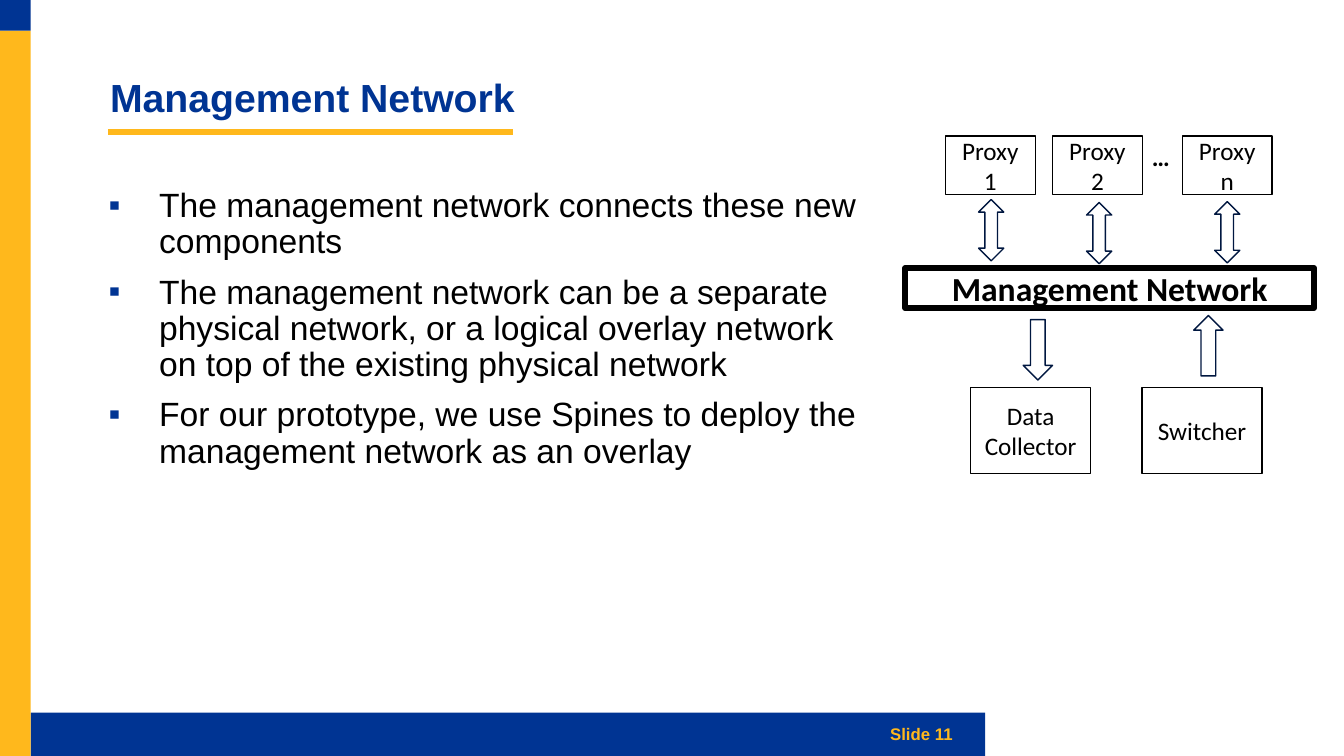
from dataclasses import dataclass

from lxml.etree import SubElement
from pptx import Presentation
from pptx.dml.color import RGBColor
from pptx.enum.shapes import MSO_CONNECTOR, MSO_SHAPE
from pptx.enum.text import MSO_ANCHOR, PP_ALIGN
from pptx.oxml.ns import qn
from pptx.shapes.autoshape import Shape
from pptx.slide import Slide
from pptx.util import Emu, Inches, Pt

COLUMNS, ROWS = 32, 18
SLIDE_WIDTH, SLIDE_HEIGHT = Inches(13.33), Inches(7.5)


@dataclass(frozen=True)
class Theme:
    blue: str = "003493"
    gold: str = "FFB81C"
    black: str = "000000"
    white: str = "FFFFFF"
    navy: str = "001740"
    text_font: str = "Arial"
    diagram_font: str = "Calibri"
    title_size: int = 28
    body_size: int = 24
    network_size: int = 24
    label_size: int = 18
    footer_size: int = 12
    thin: int = 1
    thick: int = 4


THEME = Theme()


@dataclass(frozen=True)
class Area:
    column: float
    row: float
    columns: float
    rows: float

    def lengths(self) -> tuple[Emu, Emu, Emu, Emu]:
        return across(self.column), down(self.row), across(self.columns), down(self.rows)


@dataclass(frozen=True)
class TextStyle:
    font: str
    size: int
    color: str
    bold: bool = False
    align: PP_ALIGN = PP_ALIGN.LEFT


@dataclass(frozen=True)
class Node:
    label: str
    area: Area
    style: TextStyle
    border: int = THEME.thin


@dataclass(frozen=True)
class Arrow:
    kind: MSO_SHAPE
    area: Area
    rotation: int = 0


def across(columns: float) -> Emu:
    return Emu(round(SLIDE_WIDTH * columns / COLUMNS))


def down(rows: float) -> Emu:
    return Emu(round(SLIDE_HEIGHT * rows / ROWS))


TITLE = TextStyle(THEME.text_font, THEME.title_size, THEME.blue, True)
BODY = TextStyle(THEME.text_font, THEME.body_size, THEME.black)
FOOTER = TextStyle(THEME.text_font, THEME.footer_size, THEME.gold, True, PP_ALIGN.RIGHT)
NETWORK = TextStyle(THEME.diagram_font, THEME.network_size, THEME.black, True, PP_ALIGN.CENTER)
LABEL = TextStyle(THEME.diagram_font, THEME.label_size, THEME.black, False, PP_ALIGN.CENTER)
ELLIPSIS = TextStyle(THEME.diagram_font, THEME.label_size, THEME.black, True)

BANDS = [
    (Area(0.73, 16.97, 22.73, 1.03), THEME.blue),
    (Area(0, 0.73, 0.73, 17.27), THEME.gold),
    (Area(0, 0, 0.73, 0.73), THEME.blue),
]
BULLETS = [
    "The management network connects these new components",
    "The management network can be a separate physical network, or a logical overlay network "
    "on top of the existing physical network",
    "For our prototype, we use Spines to deploy the management network as an overlay",
]
NODES = [
    Node("Management Network", Area(21.55, 6.38, 9.74, 0.96), NETWORK, THEME.thick),
    *(Node(f"Proxy {number}", Area(column, 3.24, 2.14, 1.39), LABEL)
      for number, column in (("1", 22.51), ("2", 25.06), ("n", 28.15))),
    *(Node(name, Area(column, 9.22, 2.86, 2.06), LABEL)
      for name, column in (("Data Collector", 23.11), ("Switcher", 27.19))),
]
ARROWS = [
    Arrow(MSO_SHAPE.DOWN_ARROW, Area(24.36, 7.61, 0.7, 1.44)),
    Arrow(MSO_SHAPE.DOWN_ARROW, Area(28.42, 7.51, 0.7, 1.44), 180),
    *(Arrow(MSO_SHAPE.UP_DOWN_ARROW, Area(column, row, 0.6, 1.46))
      for column, row in ((23.3, 4.75), (25.87, 4.82), (28.92, 4.8))),
]


def rgb(color: str) -> RGBColor:
    return RGBColor.from_string(color)


def write_text(shape: Shape, lines: list[str], style: TextStyle, bulleted: bool = False) -> None:
    frame = shape.text_frame
    frame.word_wrap = True
    frame.text = "\n".join(lines)
    for index, paragraph in enumerate(frame.paragraphs):
        paragraph.alignment = style.align
        if bulleted:
            paragraph.line_spacing = 0.9
            paragraph.space_before = Pt(10 if index else 0)
            add_bullet(paragraph._p.get_or_add_pPr())
        for run in paragraph.runs:
            run.font.name = style.font
            run.font.size = Pt(style.size)
            run.font.bold = style.bold
            run.font.color.rgb = rgb(style.color)


def add_bullet(properties) -> None:
    properties.set("marL", str(Inches(0.5)))
    properties.set("indent", str(-Inches(0.5)))
    bullet_color = SubElement(properties, qn("a:buClr"))
    SubElement(bullet_color, qn("a:srgbClr"), val=THEME.blue)
    SubElement(properties, qn("a:buFont"), typeface=THEME.text_font)
    SubElement(properties, qn("a:buChar"), char="▪")


def add_label(slide: Slide, area: Area, lines: list[str], style: TextStyle,
              bulleted: bool = False) -> Shape:
    shape = slide.shapes.add_textbox(*area.lengths())
    write_text(shape, lines, style, bulleted)
    return shape


def add_flush_label(slide: Slide, area: Area, lines: list[str], style: TextStyle,
                    bulleted: bool = False) -> None:
    frame = add_label(slide, area, lines, style, bulleted).text_frame
    frame.margin_left = frame.margin_right = 0


def add_figure(slide: Slide, kind: MSO_SHAPE, area: Area, fill: str | None,
               line: str | None = None, width: int = THEME.thin) -> Shape:
    shape = slide.shapes.add_shape(kind, *area.lengths())
    shape.shadow.inherit = False
    if fill:
        shape.fill.solid()
        shape.fill.fore_color.rgb = rgb(fill)
    else:
        shape.fill.background()
    if line:
        shape.line.color.rgb = rgb(line)
        shape.line.width = Pt(width)
    else:
        shape.line.fill.background()
    return shape


def add_underline(slide: Slide) -> None:
    underline = slide.shapes.add_connector(
        MSO_CONNECTOR.STRAIGHT, across(2.57), down(3.14), across(12.22), down(3.14))
    underline.line.color.rgb = rgb(THEME.gold)
    underline.line.width = Pt(THEME.thick)
    SubElement(underline._element.spPr, qn("a:effectLst"))


def add_node(slide: Slide, node: Node) -> None:
    shape = add_figure(slide, MSO_SHAPE.RECTANGLE, node.area, None, THEME.black, node.border)
    write_text(shape, [node.label], node.style)
    shape.text_frame.vertical_anchor = MSO_ANCHOR.MIDDLE


def main() -> None:
    presentation = Presentation()
    presentation.slide_width, presentation.slide_height = SLIDE_WIDTH, SLIDE_HEIGHT
    slide = presentation.slides.add_slide(presentation.slide_layouts[6])
    for area, color in BANDS:
        add_figure(slide, MSO_SHAPE.RECTANGLE, area, color)
    add_underline(slide)
    footer = add_label(slide, Area(15.72, 16.99, 7.2, 0.96), ["Slide 11"], FOOTER)
    footer.text_frame.vertical_anchor = MSO_ANCHOR.MIDDLE
    add_flush_label(slide, Area(2.62, 1.63, 28.22, 1.87), ["Management Network"], TITLE)
    add_flush_label(slide, Area(2.59, 4.37, 18.05, 12), BULLETS, BODY, True)
    for node in NODES:
        add_node(slide, node)
    add_label(slide, Area(27.19, 3.24, 0.84, 0.96), ["…"], ELLIPSIS)
    for arrow in ARROWS:
        shape = add_figure(slide, arrow.kind, arrow.area, THEME.white, THEME.navy)
        shape.rotation = arrow.rotation
    presentation.save("out.pptx")


if __name__ == "__main__":
    main()
